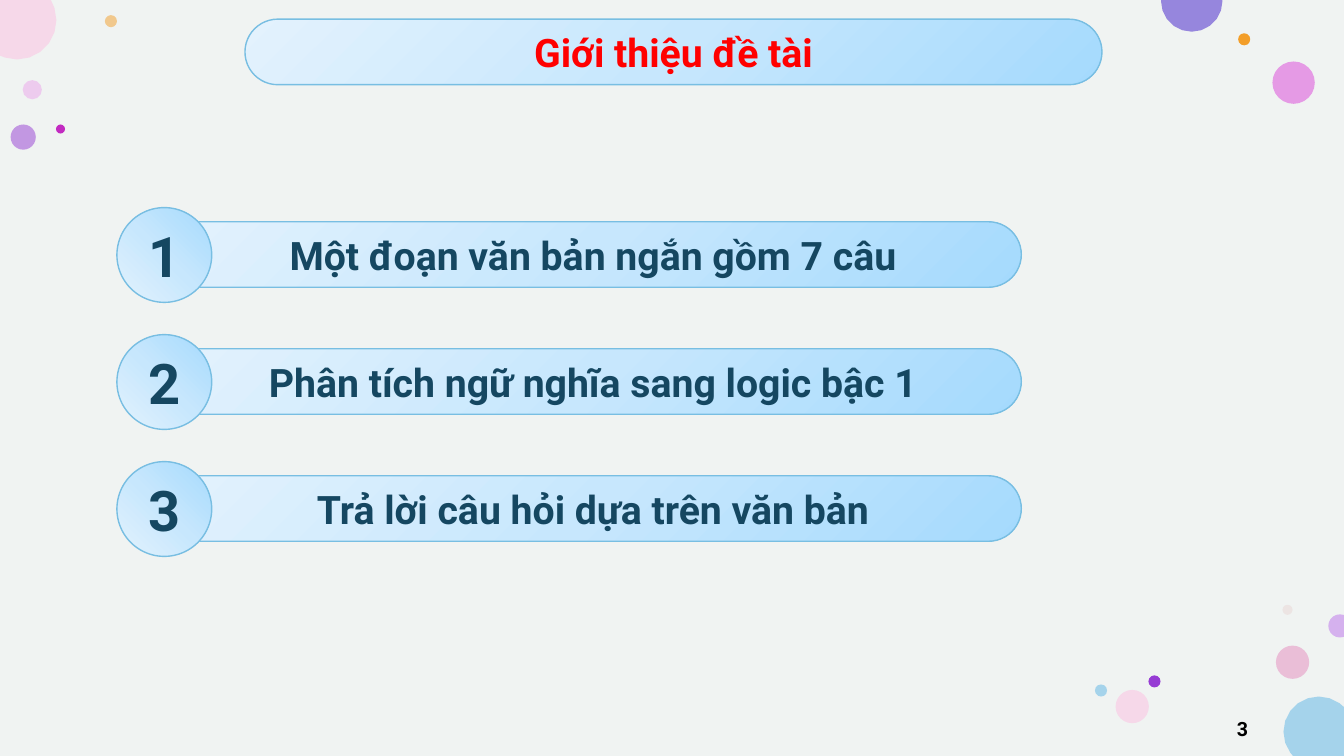
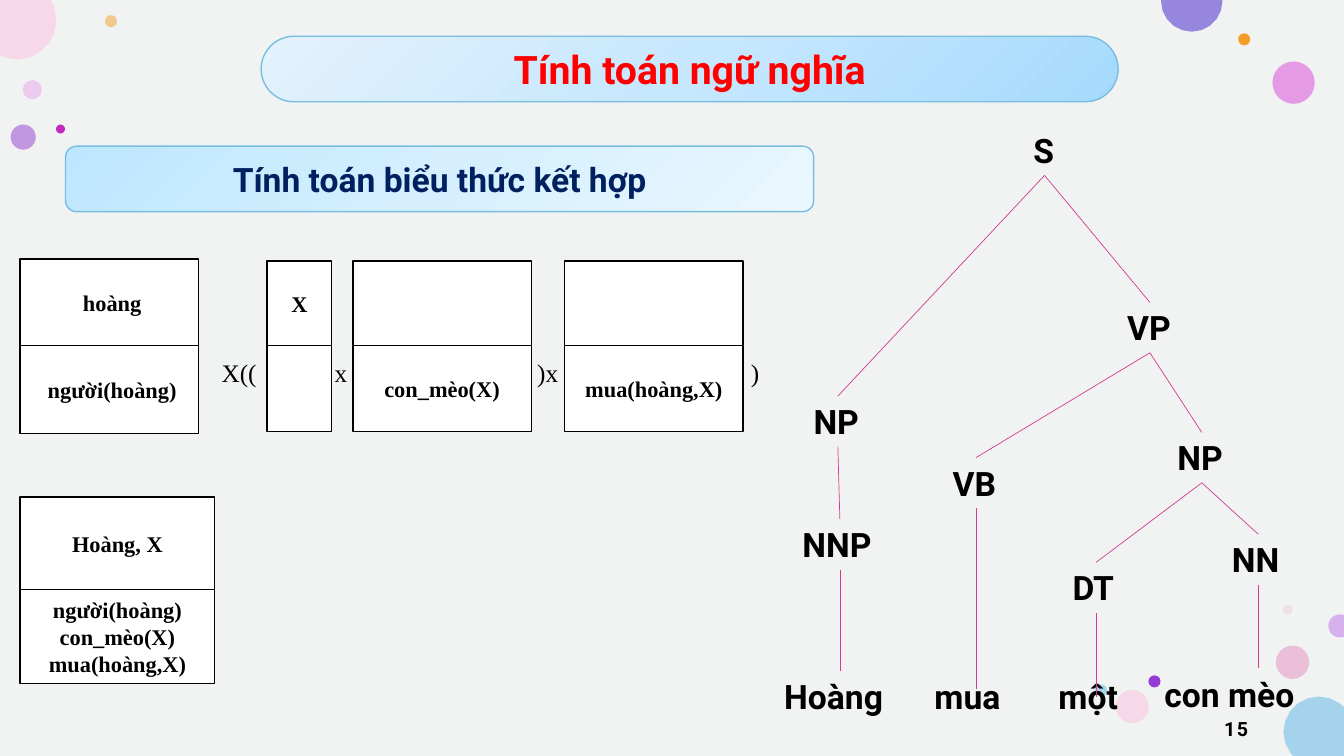
"""Build two slides on semantic analysis that share one bubble layout."""
from dataclasses import dataclass
from math import cos, radians, sin
from typing import Any, Optional

from lxml.etree import SubElement
from pptx import Presentation
from pptx.dml.color import RGBColor
from pptx.enum.shapes import MSO_CONNECTOR, MSO_SHAPE
from pptx.enum.text import MSO_ANCHOR, MSO_AUTO_SIZE, PP_ALIGN
from pptx.oxml.ns import qn
from pptx.util import Inches, Pt

WIDE, HIGH = 13.33, 7.5
SANS, SERIF = "Roboto", "Times New Roman"
BLACK, WHITE, RED = "000000", "FFFFFF", "FF0000"
PAPER, TEAL, NAVY = "F0F3F2", "154761", "002060"
EDGE, PINK = "78BEE2", "D43C93"
SKY = ("A5DAFD", "C7E7FD", "E3F2FD")
PALE = ("BDE7FF", "D5EFFE", "EAF7FE")
BAR_W, BAR_H = 8.5, 0.65
LEFT, MID, RIGHT = PP_ALIGN.LEFT, PP_ALIGN.CENTER, PP_ALIGN.RIGHT


@dataclass
class Dot:
    """A round bubble given by its centre and width."""
    x: float
    y: float
    size: float
    tint: str
    alpha: int = 100


@dataclass
class Box:
    """Two stacked cells: referents over conditions."""
    x: float
    y: float
    w: float
    h: float
    top: str = ""
    low: str = ""


@dataclass
class Node:
    """A tree label, its parent's key and an optional line end."""
    key: str
    text: str
    x: float
    y: float
    w: float
    up: str = ""
    drop: Optional[float] = None


DOTS = [
    Dot(0.32, 0.89, 0.19, "EBA5EB", 50), Dot(1.1, 0.21, 0.12, "F39E29", 50),
    Dot(12.82, 6.57, 0.33, "E58ABE", 50), Dot(0.23, 1.36, 0.25, "963CD4", 50),
    Dot(12.83, 0.82, 0.42, "E278E1", 72), Dot(12.34, 0.39, 0.12, "F39E29"),
    Dot(12.77, 6.05, 0.1, "E3BEBE", 28), Dot(11.45, 6.76, 0.12, "963CD4"),
    Dot(11.23, 7.01, 0.33, "F6D8E9"), Dot(10.92, 6.85, 0.12, "A5D3EB"),
    Dot(13.08, 7.26, 0.7, "A5D3EB"), Dot(0.17, 0.2, 0.78, "F6D8E9"),
    Dot(11.82, 0.01, 0.61, "9686DD"), Dot(0.6, 1.28, 0.09, "C22AC1"),
    Dot(13.29, 6.21, 0.23, "D5B1EE"),
]
ITEMS = [
    "Một đoạn văn bản ngắn gồm 7 câu",
    "Phân tích ngữ nghĩa sang logic bậc 1",
    "Trả lời câu hỏi dựa trên văn bản",
]
BOXES = [
    Box(2.65, 2.59, 0.64, 0.85, "X"),
    Box(0.2, 2.57, 1.77, 0.87, " hoàng", " người(hoàng)"),
    Box(3.5, 2.59, 1.77, 0.85, "", "con_mèo(X)"),
    Box(5.6, 2.59, 1.77, 0.85, "", "mua(hoàng,X)"),
    Box(0.2, 4.93, 1.93, 0.93, "Hoàng, X",
        "người(hoàng)\ncon_mèo(X)\nmua(hoàng,X)"),
]
NODES = [
    Node("s", "S", 10.15, 1.24, 0.42),
    Node("np1", "NP", 7.97, 3.93, 0.68, "s"),
    Node("vp", "VP", 11.08, 3, 0.65, "s"),
    Node("nnp", "NNP", 7.86, 5.15, 0.94, "np1"),
    Node("vb", "VB", 9.35, 4.54, 0.66, "vp"),
    Node("np2", "NP", 11.58, 4.29, 0.68, "vp"),
    Node("dt", "DT", 10.54, 5.58, 0.66, "np2"),
    Node("nn", "NN", 12.12, 5.3, 0.72, "np2"),
    Node("w1", "Hoàng", 7.68, 6.66, 1.3, "nnp"),
    Node("w2", "mua", 9.17, 6.66, 0.94, "vb", 6.84),
    Node("w3", "một", 10.4, 6.66, 0.87, "dt", 6.91),
    Node("w4", "con mèo", 11.45, 6.64, 1.63, "nn", 6.63),
]


def hue(code: str) -> RGBColor:
    """Turn a hex string into a colour."""
    return RGBColor.from_string(code)


def write(shape: Any, text: str, *, size: float, tint: str = BLACK,
          font: str = SANS, bold: bool = True, align: Any = MID,
          anchor: Any = MSO_ANCHOR.MIDDLE, gap: int = 0,
          tabs: tuple[float, ...] = ()) -> None:
    """Fill a shape with text, one paragraph a line."""
    frame = shape.text_frame
    frame.text = text
    frame.word_wrap = True
    frame.auto_size = MSO_AUTO_SIZE.NONE
    frame.vertical_anchor = anchor
    for para in frame.paragraphs:
        para.alignment = align
        for run in para.runs:
            face = run.font
            face.name, face.size, face.bold = font, Pt(size), bold
            face.color.rgb = hue(tint)
    if gap:
        for prop in shape.element.iter(qn("a:rPr")):
            prop.set("spc", str(gap))
    if tabs:
        for prop in shape.element.iter(qn("a:pPr")):
            stops = SubElement(prop, qn("a:tabLst"))
            for stop in tabs:
                SubElement(stops, qn("a:tab"), pos=str(Inches(stop)), algn="l")


def paint(shape: Any, tint: str, alpha: int = 100) -> None:
    """Give a shape a plain fill."""
    shape.fill.solid()
    shape.fill.fore_color.rgb = hue(tint)
    if alpha < 100:
        mark = next(shape.element.spPr.iter(qn("a:srgbClr")))
        SubElement(mark, qn("a:alpha"), val=str(alpha * 1000))


def blend(shape: Any, tints: tuple[str, ...], focus: str = "") -> None:
    """Give a shape a gradient, round from a corner or slanted."""
    shape.fill.gradient()
    grad = shape.element.spPr.find(qn("a:gradFill"))
    for child in list(grad):
        grad.remove(child)
    stops = SubElement(grad, qn("a:gsLst"))
    for i, tint in enumerate(tints):
        stop = SubElement(stops, qn("a:gs"), pos=str(i * 50000))
        SubElement(stop, qn("a:srgbClr"), val=tint)
    if focus:
        ring = SubElement(grad, qn("a:path"), attrib={"path": "circle"})
        edges = {side: "100000" for side in focus}
        SubElement(ring, qn("a:fillToRect"), attrib=edges)
    else:
        SubElement(grad, qn("a:lin"), ang="2700000", scaled="0")


def place(slide: Any, kind: Any, x: float, y: float, w: float, h: float,
          edge: str = "") -> Any:
    """Add a flat preset shape with an optional outline."""
    shape = slide.shapes.add_shape(
        kind, Inches(x), Inches(y), Inches(w), Inches(h))
    shape.shadow.inherit = False
    if edge:
        shape.line.color.rgb = hue(edge)
        shape.line.width = Pt(1)
    else:
        shape.line.fill.background()
    return shape


def label(slide: Any, text: str, x: float, y: float, w: float, h: float,
          **style: Any) -> Any:
    """Add a text box."""
    shape = slide.shapes.add_textbox(
        Inches(x), Inches(y), Inches(w), Inches(h))
    write(shape, text, **style)
    return shape


def trim(dot: Dot) -> list[tuple[int, int]]:
    """Trace a dot inside the slide with few points."""
    rim, cuts = [], []
    for turn in range(360):
        x = dot.x + dot.size / 2 * cos(radians(turn))
        y = dot.y + dot.size / 2 * sin(radians(turn))
        near = min(max(x, 0), WIDE), min(max(y, 0), HIGH)
        rim.append((Inches(near[0]), Inches(near[1])))
        cuts.append((near[0] != x, near[1] != y))
    return [rim[i] for i in range(360)
            if (i % 18 == 0 and not any(cuts[i]))
            or cuts[i] != cuts[i - 1] or cuts[i] != cuts[(i + 1) % 360]]


def bubble(slide: Any, dot: Dot) -> Any:
    """Draw a dot, cut off at the slide edge."""
    r = dot.size / 2
    if r <= dot.x <= WIDE - r and r <= dot.y <= HIGH - r:
        shape = place(slide, MSO_SHAPE.OVAL, dot.x - r, dot.y - r,
                      dot.size, dot.size)
    else:
        rim = trim(dot)
        form = slide.shapes.build_freeform(*rim[0], scale=1.0)
        form.add_line_segments(rim[1:], close=True)
        shape = form.convert_to_shape()
        shape.shadow.inherit = False
        shape.line.fill.background()
    paint(shape, dot.tint, dot.alpha)
    return shape


def dress(layout: Any, slide: Any) -> None:
    """Move the backdrop and the bubbles onto the layout."""
    sheet = place(slide, MSO_SHAPE.RECTANGLE, 0, 0, WIDE, HIGH)
    paint(sheet, PAPER)
    parts = [sheet] + [bubble(slide, dot) for dot in DOTS]
    for i, part in enumerate(parts):
        part.element.nvSpPr.cNvPr.set("id", str(100 + i))
        layout.shapes.element.insert(2 + i, part.element)


def pill(slide: Any, x: float, y: float) -> Any:
    """Add a bar with round ends."""
    bar = place(slide, MSO_SHAPE.ROUNDED_RECTANGLE, x, y, BAR_W, BAR_H, EDGE)
    bar.adjustments[0] = 0.5
    blend(bar, SKY, "lt")
    return bar


def head(slide: Any, text: str, x: float, y: float, page: str) -> None:
    """Add the title on its bar and the page number."""
    bar, title = pill(slide, x, y), slide.shapes.title
    title.left, title.top = bar.left, bar.top
    title.width, title.height = bar.width, bar.height
    write(title, text, size=28, tint=RED)
    slide.shapes.element.append(title.element)
    note = label(slide, page, 9.5, 7.09, 3, 0.26, size=14, align=RIGHT, gap=100)
    frame = note.text_frame
    frame.margin_left = frame.margin_right = frame.margin_top = Inches(0.12)
    frame.margin_bottom = Inches(0.1)


def item(slide: Any, rank: int, text: str) -> None:
    """Add a numbered bar of the list."""
    y = 2.06 + 1.26 * rank
    write(pill(slide, 1.63, y + 0.14), text, size=28, tint=TEAL)
    disc = place(slide, MSO_SHAPE.OVAL, 1.16, y, 0.94, 0.94, EDGE)
    blend(disc, SKY, "lb")
    write(disc, str(rank + 1), size=40, tint=TEAL)


def stack(slide: Any, box: Box) -> None:
    """Draw the two cells of a box, sharing their common edge."""
    for i, text in enumerate((box.top, box.low)):
        cell = place(slide, MSO_SHAPE.RECTANGLE, box.x,
                     box.y + i * (box.h - 0.01), box.w, box.h, BLACK)
        paint(cell, WHITE)
        if text:
            write(cell, text, size=16, font=SERIF)


def tree(slide: Any) -> None:
    """Draw the parse tree and join each node to its parent."""
    made: dict[str, Any] = {}
    for node in NODES:
        tag = label(slide, node.text, node.x, node.y, node.w, 0.5, size=24,
                    align=LEFT, anchor=MSO_ANCHOR.TOP)
        made[node.key] = tag
        if not node.up:
            continue
        root = made[node.up]
        x = root.left + root.width // 2
        y = Inches(node.drop or node.y)
        link = slide.shapes.add_connector(
            MSO_CONNECTOR.STRAIGHT, x, root.top + root.height, x, y)
        link.begin_connect(root, 2)
        if node.drop is None:
            link.end_connect(tag, 0)
        link.line.color.rgb = hue(PINK)
        link.line.width = Pt(0.5)
        SubElement(link.element.spPr, qn("a:effectLst"))


def main() -> None:
    """Build and save the deck."""
    deck = Presentation()
    deck.slide_width, deck.slide_height = Inches(WIDE), Inches(HIGH)
    layout = deck.slide_layouts[5]
    intro, sense = (deck.slides.add_slide(layout) for _ in range(2))
    dress(layout, intro)

    head(intro, "Giới thiệu đề tài", 2.43, 0.19, "3")
    for rank, text in enumerate(ITEMS):
        item(intro, rank, text)

    head(sense, "Tính toán ngữ nghĩa", 2.59, 0.36, "15")
    band = place(sense, MSO_SHAPE.ROUNDED_RECTANGLE, 0.65, 1.45, 7.42, BAR_H, EDGE)
    blend(band, PALE)
    write(band, "Tính toán biểu thức kết hợp", size=24, tint=NAVY)
    tree(sense)
    for box in BOXES:
        stack(sense, box)
    label(sense, "X((\tx\t)x\t)", 2.1, 3.5, 6.88, 0.4, size=18, font=SERIF,
          bold=False, align=LEFT, anchor=MSO_ANCHOR.TOP, tabs=(1.12, 3.13, 5.25))
    deck.save("out.pptx")


if __name__ == "__main__":
    main()
